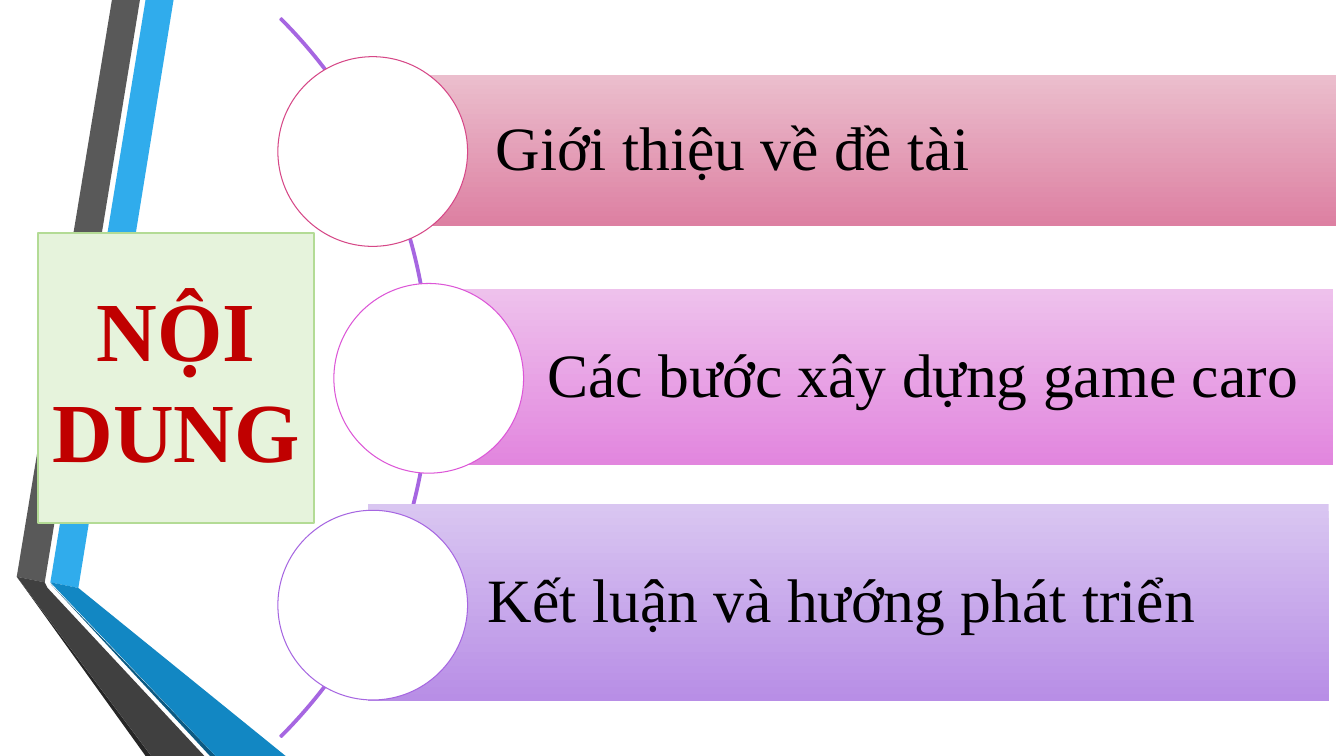
from pptx import Presentation
from pptx.dml.color import RGBColor as RGB
from pptx.enum.shapes import MSO_SHAPE as Kind
from pptx.enum.text import MSO_ANCHOR as Anchor, MSO_AUTO_SIZE as Fit, PP_ALIGN as Align
from pptx.util import Pt

FONT = "Times New Roman"
BLACK = RGB(0x00, 0x00, 0x00)
WHITE = RGB(0xFF, 0xFF, 0xFF)
RED = RGB(0xC0, 0x00, 0x00)
MINT = RGB(0xE6, 0xF3, 0xDC)
GREEN = RGB(0xB3, 0xDB, 0x95)
SKY = RGB(0x30, 0xAC, 0xEC)
SEA = RGB(0x12, 0x87, 0xC3)
NAVY = RGB(0x0C, 0x5A, 0x82)
GREY = RGB(0x59, 0x59, 0x59)
COAL = RGB(0x40, 0x40, 0x40)
SOOT = RGB(0x26, 0x26, 0x26)
ROSE = RGB(0xD6, 0x47, 0x87)
PINK = RGB(0xDC, 0x56, 0xD7)
PLUM = RGB(0xA6, 0x66, 0xE1)

RIBBONS = [
    (SKY, [(36, 416), (55.5, 420), (124.5, 0), (104.5, 0)]),
    (GREY, [(100, 0), (80, 0), (11.5, 412.5), (31.5, 415.5)]),
    (SOOT, [(11.5, 412.5), (104.5, 540), (108.5, 540)]),
    (NAVY, [(36, 417), (150, 540), (154, 540)]),
    (SEA, [(36, 416.5), (154, 540), (204, 540), (55.5, 420)]),
    (COAL, [(145.5, 540), (34.5, 420), (31.5, 415.5), (11.5, 412.5), (108.5, 540)]),
]

TOPICS = [
    ("Giới thiệu về đề tài", (268.5, 53.5, 686, 108),
     RGB(0xEB, 0xBE, 0xCD), RGB(0xDD, 0x80, 0xA2), ROSE, 198.5),
    ("Các bước xây dựng game caro", (305.5, 206.5, 647, 126),
     RGB(0xEE, 0xC1, 0xEC), RGB(0xE2, 0x86, 0xDE), PINK, 238.5),
    ("Kết luận và hướng phát triển", (263, 360, 686, 140.5),
     RGB(0xD9, 0xC6, 0xF1), RGB(0xB8, 0x8E, 0xE6), PLUM, 198.5),
]
DISC = 135.5
DISC_TOP = 40.5
STEP = 162


class Deck:
    def __init__(self, slide, font):
        self.slide = slide
        self.font = font

    def paint(self, shape, fill=None, line=None, width=0.75):
        if fill is None:
            shape.fill.background()
        else:
            shape.fill.solid()
            shape.fill.fore_color.rgb = fill
        if line is None:
            shape.line.fill.background()
        else:
            shape.line.color.rgb = line
            shape.line.width = Pt(width)

    def text(self, para, words, size, color, bold=False):
        run = para.add_run()
        run.text = words
        run.font.name = self.font
        run.font.size = Pt(size)
        run.font.bold = bold
        run.font.color.rgb = color

    def shape(self, kind, box, fill=None, line=None, width=0.75):
        shape = self.slide.shapes.add_shape(kind, *map(Pt, box))
        shape.shadow.inherit = False
        self.paint(shape, fill, line, width)
        return shape

    def ribbon(self, color, points):
        pen = self.slide.shapes.build_freeform(*points[0], scale=Pt(1))
        pen.add_line_segments(points[1:], close=True)
        shape = pen.convert_to_shape()
        shape.shadow.inherit = False
        self.paint(shape, color)

    def arc(self, box, start, end, band, color):
        shape = self.shape(Kind.BLOCK_ARC, box, line=color, width=1.25)
        for i, value in enumerate((start, end, band)):
            shape.adjustments[i] = value

    def bar(self, words, box, light, deep):
        shape = self.shape(Kind.RECTANGLE, box)
        shape.fill.gradient()
        shape.fill.gradient_angle = 270
        for stop, color in zip(shape.fill.gradient_stops, (light, deep)):
            stop.color.rgb = color
        frame = shape.text_frame
        frame.word_wrap = True
        frame.vertical_anchor = Anchor.MIDDLE
        frame.margin_left = Pt(85.5)
        frame.margin_right = frame.margin_top = frame.margin_bottom = Pt(8.5)
        para = frame.paragraphs[0]
        para.alignment = Align.LEFT
        para.line_spacing = 0.9
        self.text(para, words, 44, BLACK)

    def title(self, lines, box):
        shape = self.slide.shapes.title
        shape.left, shape.top, shape.width, shape.height = map(Pt, box)
        self.paint(shape, MINT, GREEN, 1.25)
        frame = shape.text_frame
        frame.word_wrap = True
        frame.auto_size = Fit.NONE
        frame.vertical_anchor = Anchor.MIDDLE
        for i, words in enumerate(lines):
            para = frame.add_paragraph() if i else frame.paragraphs[0]
            para.alignment = Align.CENTER
            self.text(para, words, 60, RED, True)
        self.slide.shapes._spTree.append(shape._element)


def main():
    prs = Presentation()
    prs.slide_width, prs.slide_height = Pt(960), Pt(540)
    deck = Deck(prs.slides.add_slide(prs.slide_layouts[5]), FONT)
    for color, points in RIBBONS:
        deck.ribbon(color, points)
    deck.arc((-419, -93.5, 726.5, 726.5), 189, 27, 0.002, PLUM)
    for i, (words, box, light, deep, edge, left) in enumerate(TOPICS):
        deck.bar(words, box, light, deep)
        deck.shape(Kind.OVAL, (left, DISC_TOP + i * STEP, DISC, DISC), WHITE, edge)
    deck.title(["NỘI", "DUNG"], (27, 166.5, 197.5, 207))
    prs.save("out.pptx")


if __name__ == "__main__":
    main()
